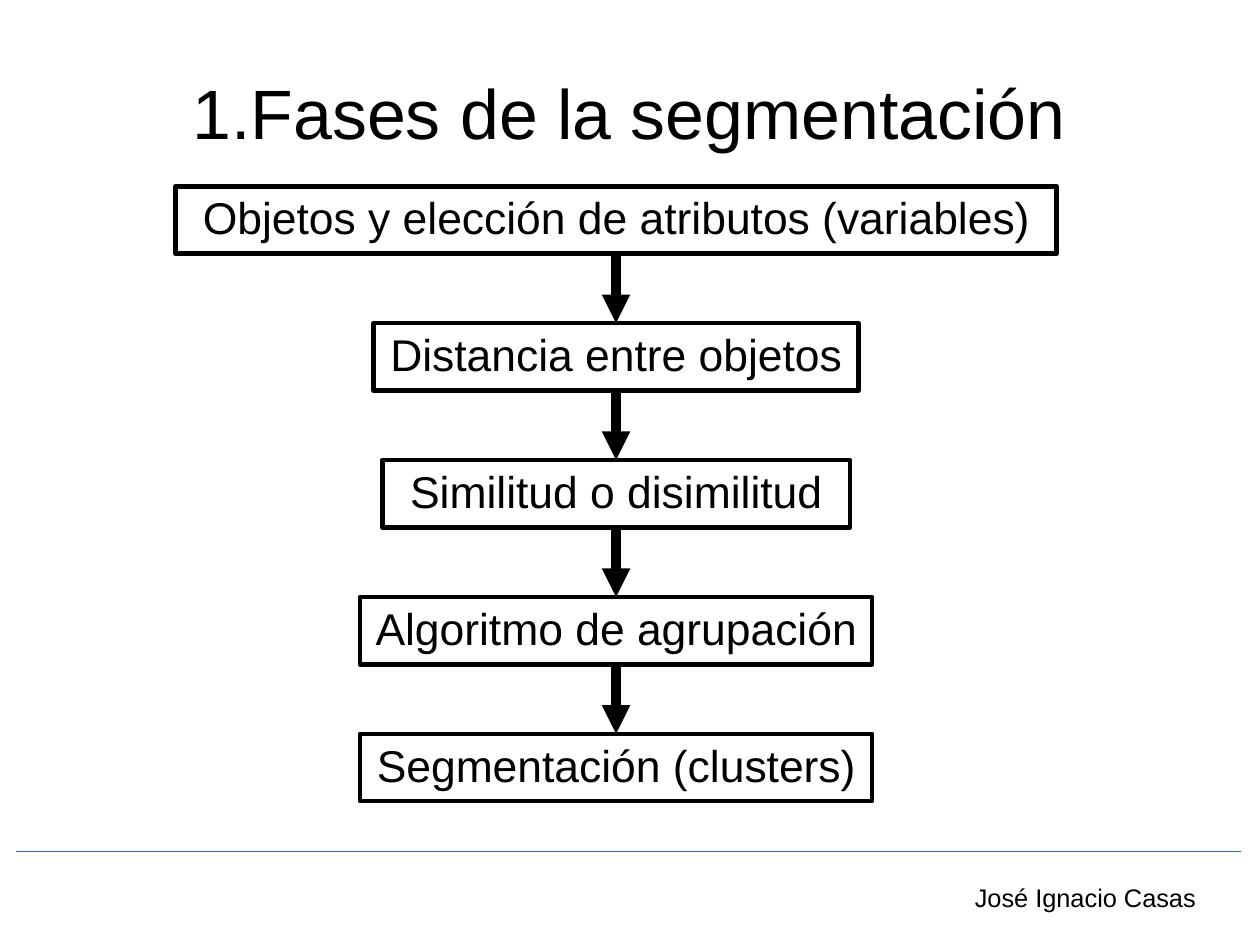
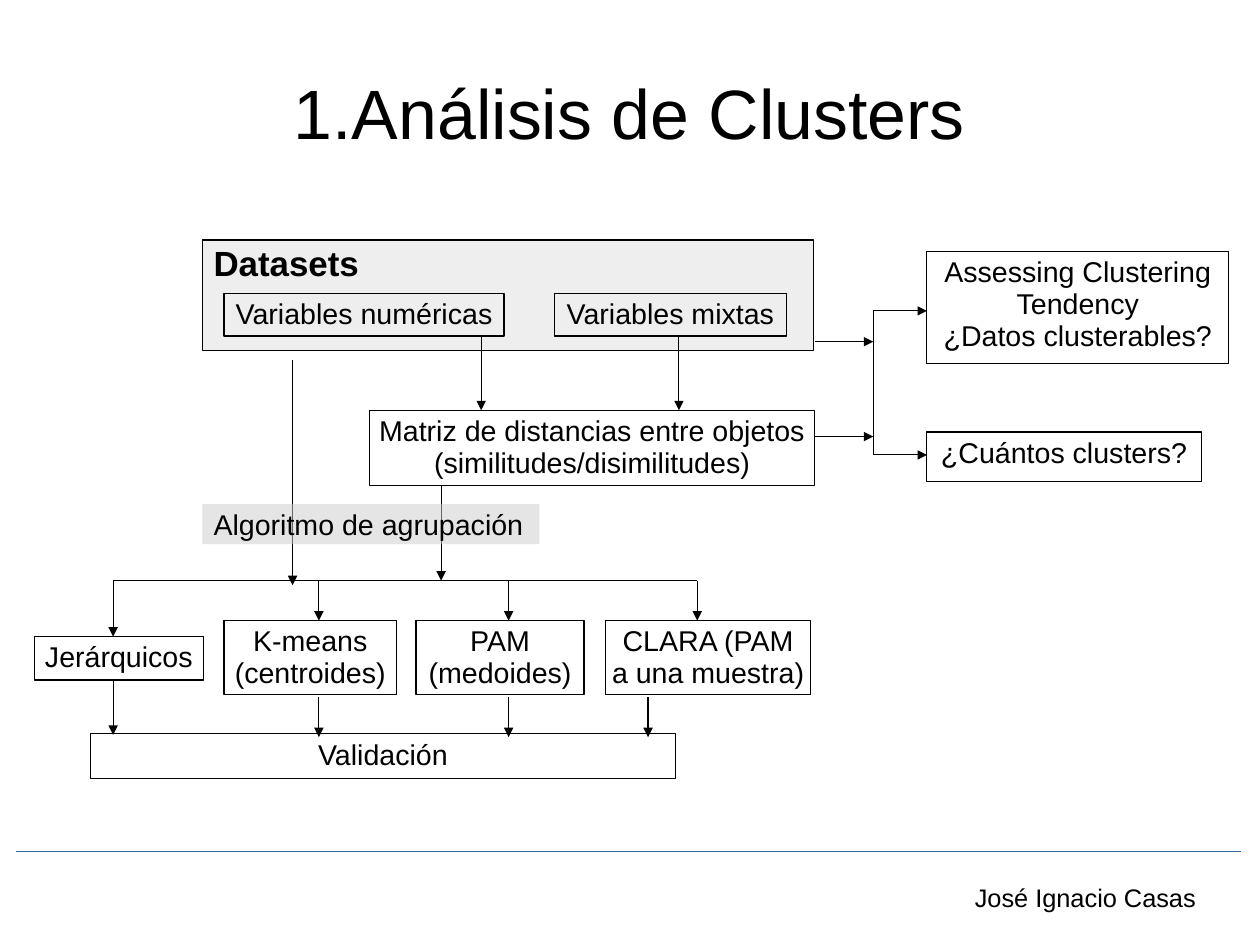
from dataclasses import dataclass

from lxml import etree
from pptx import Presentation
from pptx.dml.color import RGBColor
from pptx.enum.shapes import MSO_CONNECTOR, MSO_SHAPE
from pptx.enum.text import MSO_ANCHOR, PP_ALIGN
from pptx.oxml.ns import qn
from pptx.util import Inches, Pt


@dataclass(frozen=True)
class Theme:
    font: str = "Arial"
    ink: str = "000000"
    rule: str = "3465A4"
    panel: str = "EEEEEE"
    band: str = "CCCCCC"
    title: int = 44
    phase: int = 28
    heading: int = 22
    body: int = 18
    footer: int = 16
    spacing: float = 0.93
    thin: float = 0.75
    border: float = 2.83
    thick: float = 6


T = Theme()
MM_PER_INCH = 25.4
PAGE_MM = (280, 210)
AUTHOR = "José Ignacio Casas"

PHASES_TITLE = "1.Fases de la segmentación"
PHASES = [  # text, box width
    ("Objetos y elección de atributos (variables)", 7.71),
    ("Distancia entre objetos", 4.24),
    ("Similitud o disimilitud", 4.09),
    ("Algoritmo de agrupación", 4.48),
    ("Segmentación (clusters)", 4.48),
]
PHASE_CENTER, PHASE_HEIGHT = 5.39, 0.59
FIRST_PHASE_TOP, LAST_PHASE_TOP = 1.63, 6.42

# A vertical tab is a line break within a paragraph.
CLUSTERS_TITLE = "1.Análisis de Clusters"
DATASETS = ("Datasets", (1.77, 2.1, 5.35, 0.97))
ALGORITHM = ("Algoritmo de agrupación", (1.77, 4.41, 2.95, 0.35))
STEPS = [
    ("Variables numéricas", (1.96, 2.57, 2.45, 0.37)),
    ("Variables mixtas", (4.85, 2.57, 2.03, 0.37)),
    ("Matriz de distancias entre objetos\v(similitudes/disimilitudes)",
     (3.23, 3.59, 3.9, 0.66)),
    ("Validación", (0.79, 6.42, 5.12, 0.39)),
]
QUESTIONS = [  # text, box, height at which its arrow arrives
    ("Assessing Clustering Tendency\v¿Datos clusterables?",
     (8.11, 2.2, 2.64, 0.98), 2.72),
    ("¿Cuántos clusters?", (8.11, 3.78, 2.4, 0.43), 3.98),
]
METHODS = [  # text, box, x of the arrow in, x and y of the arrow out
    ("Jerárquicos", (0.3, 5.57, 1.48, 0.38), 0.99, (0.99, 5.94)),
    ("K-means\n(centroides)", (1.96, 5.43, 1.51, 0.65), 2.79, (2.79, 6.1)),
    ("PAM\n(medoides)", (3.64, 5.43, 1.47, 0.65), 4.45, (4.45, 6.1)),
    ("CLARA (PAM\va una muestra)", (5.3, 5.43, 1.79, 0.65), 6.1, (5.67, 6.1)),
]
METHOD_BUS_Y = 5.08
QUESTION_BUS_X, SOURCE_RIGHT = 7.64, 7.13
SOURCE_ARROW_YS = (2.99, 3.82)
DOWN_ARROWS = [  # x, top, bottom
    (2.56, 3.15, 5.12),
    (4.21, 2.94, 3.59),
    (5.94, 2.94, 3.59),
    (3.86, 4.25, METHOD_BUS_Y),
]


def rgb(color):
    return RGBColor.from_string(color)


def write(sp, content, size, align=PP_ALIGN.CENTER, anchor=MSO_ANCHOR.MIDDLE,
          inset=(0.1, 0.05), wrap=True, bold=False):
    tf = sp.text_frame
    tf.word_wrap = wrap
    tf.vertical_anchor = anchor
    tf.margin_left = tf.margin_right = Inches(inset[0])
    tf.margin_top = tf.margin_bottom = Inches(inset[1])
    tf.text = content
    for p in tf.paragraphs:
        p.alignment = align
        p.line_spacing = T.spacing
        p.font.name = T.font
        p.font.size = Pt(size)
        p.font.bold = bold
        p.font.color.rgb = rgb(T.ink)


def label(s, content, at, size, **style):
    write(s.shapes.add_textbox(*map(Inches, at)), content, size, **style)


def box(s, content, at, size=T.body, fill=None, border=T.thin, **style):
    sp = s.shapes.add_shape(MSO_SHAPE.RECTANGLE, *map(Inches, at))
    sp.shadow.inherit = False
    if fill:
        sp.fill.solid()
        sp.fill.fore_color.rgb = rgb(fill)
    else:
        sp.fill.background()
    if border:
        sp.line.color.rgb = rgb(T.ink)
        sp.line.width = Pt(border)
    else:
        sp.line.fill.background()
    write(sp, content, size, **style)
    return sp


def line(s, x1, y1, x2, y2, color=T.ink, width=T.thin, arrow=False):
    c = s.shapes.add_connector(MSO_CONNECTOR.STRAIGHT,
                               *map(Inches, (x1, y1, x2, y2)))
    c.line.color.rgb = rgb(color)
    c.line.width = Pt(width)
    if arrow:
        etree.SubElement(c._element.spPr.find(qn("a:ln")), qn("a:tailEnd"),
                         type="triangle")
    etree.SubElement(c._element.spPr, qn("a:effectLst"))


def new_slide(prs, title):
    """Add a slide with the shared title, rule and author."""
    s = prs.slides.add_slide(prs.slide_layouts[6])
    line(s, 0.14, 7.45, 10.86, 7.45, color=T.rule)
    label(s, AUTHOR, (8.43, 7.69, 2.28, 0.35), T.footer,
          align=PP_ALIGN.LEFT, anchor=MSO_ANCHOR.TOP)
    label(s, title, (0.55, 0.33, 9.92, 1.38), T.title, inset=(0, 0))
    return s


def phases_slide(prs):
    s = new_slide(prs, PHASES_TITLE)
    pitch = (LAST_PHASE_TOP - FIRST_PHASE_TOP) / (len(PHASES) - 1)
    for i, (content, width) in enumerate(PHASES):
        top = FIRST_PHASE_TOP + i * pitch
        box(s, content, (PHASE_CENTER - width / 2, top, width, PHASE_HEIGHT),
            T.phase, border=T.border, inset=(0.11, 0.06))
        if i:
            line(s, PHASE_CENTER, top - pitch + PHASE_HEIGHT,
                 PHASE_CENTER, top, width=T.thick, arrow=True)


def clusters_slide(prs):
    s = new_slide(prs, CLUSTERS_TITLE)
    top_left = dict(align=PP_ALIGN.LEFT, anchor=MSO_ANCHOR.TOP)
    box(s, *DATASETS, T.heading, fill=T.panel, bold=True, **top_left)
    for content, at in STEPS:
        box(s, content, at, wrap=False)

    for content, at, x_in, (x_out, y_out) in METHODS:
        box(s, content, at, wrap=False)
        length = at[1] - METHOD_BUS_Y
        for x, y in ((x_in, METHOD_BUS_Y), (x_out, y_out)):
            line(s, x, y, x, y + length, arrow=True)
    line(s, METHODS[0][2], METHOD_BUS_Y, METHODS[-1][2], METHOD_BUS_Y)

    for content, at, y in QUESTIONS:
        box(s, content, at, anchor=MSO_ANCHOR.TOP)
        line(s, QUESTION_BUS_X, y, at[0], y, arrow=True)
    line(s, QUESTION_BUS_X, QUESTIONS[0][2], QUESTION_BUS_X, QUESTIONS[-1][2])

    for y in SOURCE_ARROW_YS:
        line(s, SOURCE_RIGHT, y, QUESTION_BUS_X, y, arrow=True)
    for x, top, bottom in DOWN_ARROWS:
        line(s, x, top, x, bottom, arrow=True)

    band = box(s, *ALGORITHM, fill=T.band, border=None, **top_left)
    color = band._element.spPr.find(qn("a:solidFill"))[0]
    etree.SubElement(color, qn("a:alpha"), val="50000")


def main():
    prs = Presentation()
    prs.slide_width = Inches(PAGE_MM[0] / MM_PER_INCH)
    prs.slide_height = Inches(PAGE_MM[1] / MM_PER_INCH)
    phases_slide(prs)
    clusters_slide(prs)
    prs.save("out.pptx")


if __name__ == "__main__":
    main()
